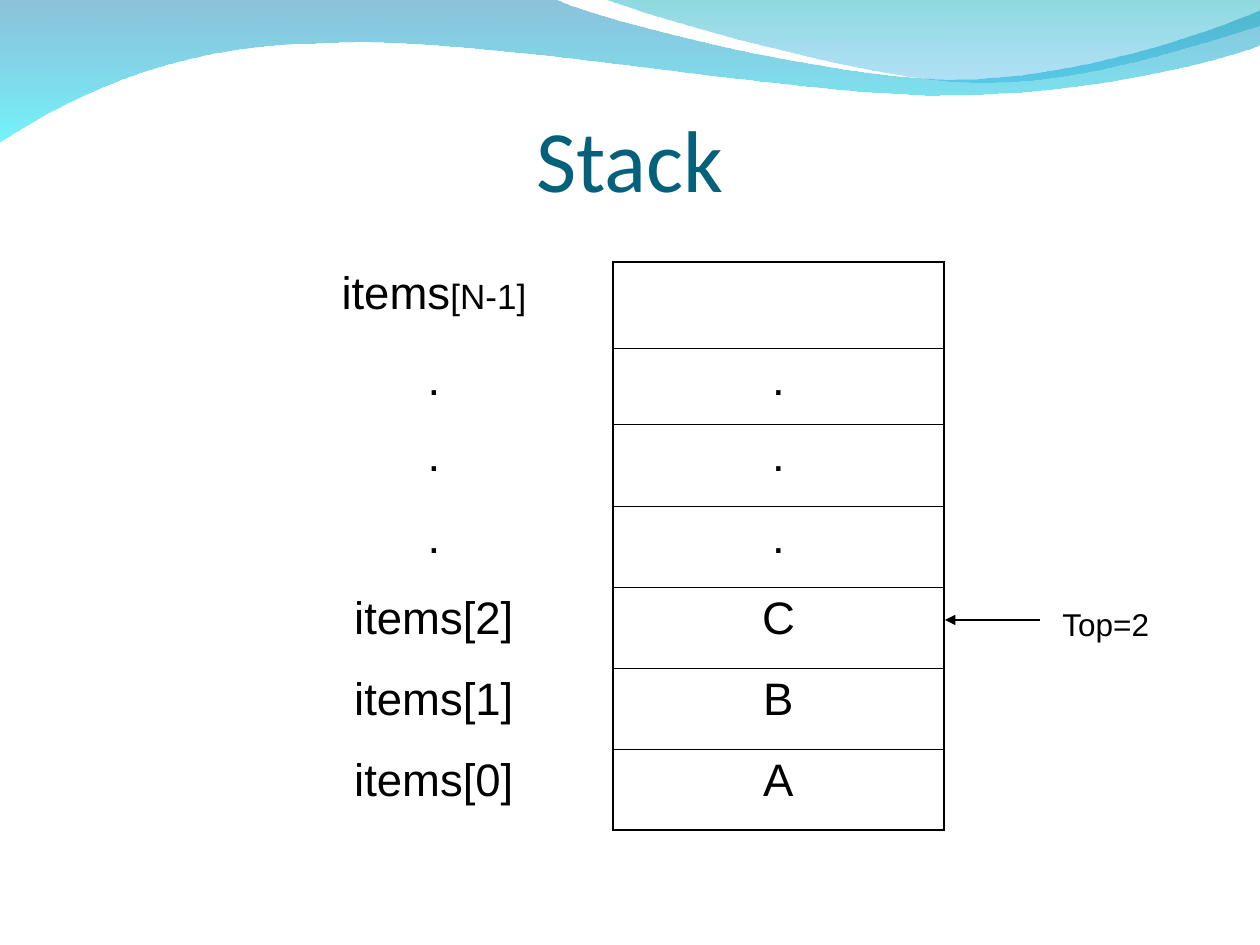
"""Build the slide that shows a stack of items with its top pointer."""
from dataclasses import dataclass
from typing import NamedTuple

from pptx import Presentation
from pptx.dml.color import RGBColor as RGB
from pptx.enum.shapes import MSO_CONNECTOR as CONN
from pptx.enum.text import MSO_ANCHOR as ANCHOR, MSO_AUTO_SIZE as AUTO, PP_ALIGN as ALIGN
from pptx.oxml.ns import qn
from pptx.util import Emu, Pt
from lxml.etree import SubElement as Sub

SCALE = 914400 / 126


@dataclass(frozen=True)
class Theme:
    """Colours, fonts and sizes of the slide."""
    title: str = "04617B"
    ink: str = "000000"
    title_font: str = "Calibri"
    body_font: str = "Arial"
    title_size: int = 50
    item_size: int = 26
    index_size: int = 20
    label_size: int = 18
    outer_line: float = 1.08
    inner_line: float = 0.45
    arrow_line: float = 0.75


class Stop(NamedTuple):
    """A gradient colour with its opacity in percent."""
    color: str
    opacity: int


class Wave(NamedTuple):
    """A closed outline; a two-value step is a line, a six-value step a Bézier curve."""
    start: tuple[int, int]
    steps: list[tuple[int, ...]]
    stops: tuple[Stop, Stop]


class Row(NamedTuple):
    """A stack slot: its label as sized pieces, its value and its height."""
    label: list[tuple[str, int]]
    value: str
    height: int


T = Theme()
WAVES = [
    Wave((0, -1), [(554, -1), (600, 21, 837, 79, 955, 79), (1075, 79, 1207, 33, 1260, 11),
                   (1261, 45), (1239, 55, 1096, 96, 940, 95), (784, 95, 481, 35, 324, 43),
                   (163, 44, 58, 105, -1, 142)],
         (Stop("0079AF", 45), Stop("00EBF8", 55))),
    Wave((604, -1), [(641, 14, 859, 78, 969, 82), (1079, 87, 1211, 40, 1260, 26), (1260, 0)],
         (Stop("00ADB6", 45), Stop("009BE5", 30))),
]
DOT = [(".", T.item_size)]
ROWS = [
    Row([("items", T.item_size), ("[N-1]", T.index_size)], "", 86),
    Row(DOT, ".", 76),
    Row(DOT, ".", 82),
    Row(DOT, ".", 81),
    *[Row([(f"items[{i}]", T.item_size)], v, 81) for i, v in ((2, "C"), (1, "B"), (0, "A"))],
]
COLUMNS = (358, 331)


def px(n: int) -> Emu:
    """Turn pixels into EMU."""
    return Emu(round(n * SCALE))


def box(*values: int) -> list[Emu]:
    """Turn several pixel lengths into EMU."""
    return [px(v) for v in values]


def style(r, size: int, font: str = T.body_font, color: str = T.ink) -> None:
    """Format a run."""
    r.font.size, r.font.name = Pt(size), font
    r.font.color.rgb = RGB.from_string(color)


def bend(s, steps: list[tuple[int, ...]]) -> None:
    """Join the three segments of each six-value step into one cubic curve."""
    segments = iter(list(s._element.spPr.iter(qn("a:lnTo"))))
    for step in steps:
        first, *rest = [next(segments) for _ in range(len(step) // 2)]
        if rest:
            curve = first.makeelement(qn("a:cubicBezTo"), {})
            first.addprevious(curve)
            for seg in (first, *rest):
                curve.append(seg[0])
                seg.getparent().remove(seg)


def draw_wave(shapes, wave: Wave) -> None:
    """Draw a translucent gradient wave."""
    pts = [tuple(box(*step[i:i + 2])) for step in wave.steps for i in range(0, len(step), 2)]
    fb = shapes.build_freeform(*box(*wave.start), scale=1.0)
    fb.add_line_segments(pts, close=True)
    s = fb.convert_to_shape()
    bend(s, wave.steps)
    s.shadow.inherit = False
    s.line.fill.background()
    s.fill.gradient()
    s.fill.gradient_angle = 270
    for gs, stop in zip(s.fill.gradient_stops, wave.stops):
        gs.color.rgb = RGB.from_string(stop.color)
    for clr, stop in zip(s._element.spPr.iter(qn("a:srgbClr")), wave.stops):
        Sub(clr, qn("a:alpha"), val=str(stop.opacity * 1000))


def draw_title(shapes, text: str) -> None:
    """Place and format the title placeholder in front of the waves."""
    title = shapes.title
    shapes._spTree.append(title._element)
    title.left, title.top, title.width, title.height = box(63, 42, 1134, 168)
    tf = title.text_frame
    tf.text = text
    tf.auto_size, tf.vertical_anchor = AUTO.NONE, ANCHOR.BOTTOM
    tf.margin_left = tf.margin_right = tf.margin_bottom = 0
    p = tf.paragraphs[0]
    p.alignment = ALIGN.CENTER
    style(p.runs[0], T.title_size, T.title_font, T.title)


def fill_cell(cell, pieces: list[tuple[str, int]], borders: dict[str, float]) -> None:
    """Write centred text into a clear cell and draw its borders."""
    tc_pr = cell._tc.get_or_add_tcPr()
    for side in "LRTB":
        width = borders.get(side, 0)
        ln = Sub(tc_pr, qn(f"a:ln{side}"), w=str(Pt(width)))
        if width:
            Sub(Sub(ln, qn("a:solidFill")), qn("a:srgbClr"), val=T.ink)
        else:
            Sub(ln, qn("a:noFill"))
    cell.fill.background()
    p = cell.text_frame.paragraphs[0]
    p.alignment = ALIGN.CENTER
    for text, size in pieces:
        r = p.add_run()
        r.text = text
        style(r, size)


def draw_stack(shapes, left: int, top: int) -> None:
    """Draw the slots of the stack with their labels."""
    height = sum(row.height for row in ROWS)
    table = shapes.add_table(len(ROWS), len(COLUMNS),
                             *box(left, top, sum(COLUMNS), height)).table
    table.first_row = table.horz_banding = False
    for col, width in zip(table.columns, COLUMNS):
        col.width = px(width)
    for i, row in enumerate(ROWS):
        table.rows[i].height = px(row.height)
        sides = dict.fromkeys("LR", T.outer_line) | dict.fromkeys("TB", T.inner_line)
        if i == 0:
            sides["T"] = T.outer_line
        if i == len(ROWS) - 1:
            sides["B"] = T.outer_line
        fill_cell(table.cell(i, 0), row.label, {"R": T.outer_line})
        fill_cell(table.cell(i, 1), [(row.value, T.item_size)] if row.value else [], sides)


def draw_pointer(shapes, text: str) -> None:
    """Draw the arrow to the top item and its label."""
    arrow = shapes.add_connector(CONN.STRAIGHT, *box(1040, 620, 945, 620))
    arrow.line.color.rgb = RGB.from_string(T.ink)
    arrow.line.width = Pt(T.arrow_line)
    Sub(arrow.line._get_or_add_ln(), qn("a:tailEnd"), type="triangle")
    Sub(arrow._element.spPr, qn("a:effectLst"))
    tf = shapes.add_textbox(*box(1050, 599, 168, 50)).text_frame
    tf.word_wrap = True
    tf.text = text
    style(tf.paragraphs[0].runs[0], T.label_size)


def main() -> None:
    """Build and save the slide."""
    prs = Presentation()
    prs.slide_width, prs.slide_height = box(1260, 945)
    shapes = prs.slides.add_slide(prs.slide_layouts[5]).shapes
    for wave in WAVES:
        draw_wave(shapes, wave)
    draw_title(shapes, "Stack")
    draw_stack(shapes, 255, 262)
    draw_pointer(shapes, "Top=2")
    prs.save("out.pptx")


if __name__ == "__main__":
    main()
